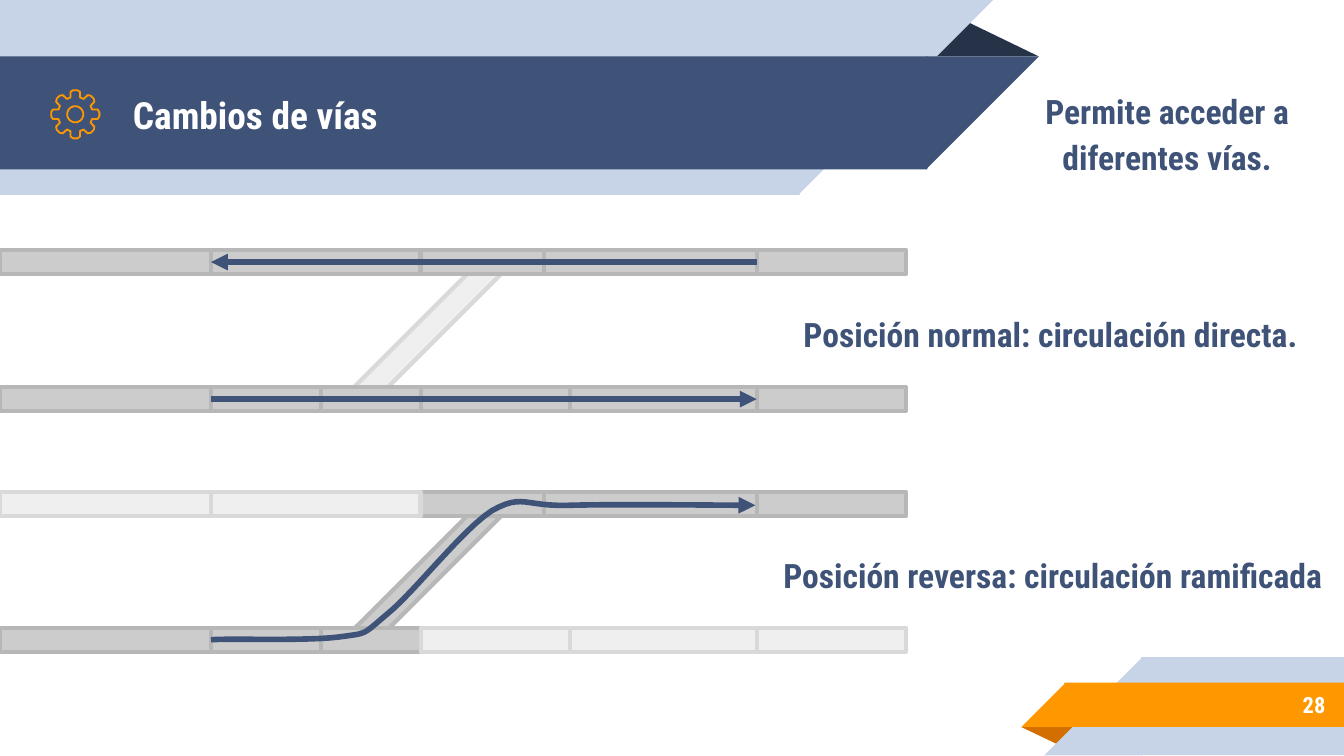
from itertools import pairwise
from math import cos, radians, sin

from lxml.etree import SubElement
from pptx import Presentation
from pptx.dml.color import RGBColor
from pptx.enum.shapes import MSO_CONNECTOR, MSO_SHAPE
from pptx.enum.text import MSO_ANCHOR, PP_ALIGN
from pptx.oxml.ns import qn
from pptx.util import Inches, Pt

FONT = "Roboto Condensed"
COLORS = {
    "navy": "3F5378", "dark": "263248", "pale": "C7D3E6",
    "orange": "FF9800", "rust": "D26F00", "white": "FFFFFF",
    "active": "CCCCCC", "active_edge": "B7B7B7",
    "idle": "EFEFEF", "idle_edge": "D9D9D9",
}
TRACK_H = 0.18
SEAM = 0.01  # overlap that hides the joint between the parts of a band
UPPER_JOINTS = [0, 1.57, 3.13, 4.05, 5.63, 6.74]
LOWER_JOINTS = [0, 1.57, 2.39, 3.13, 4.24, 5.63, 6.74]
ROUTE_START = (1.57, 4.76)
ROUTE_CURVES = [
    [(1.73, 4.75), (2.3, 4.77), (2.52, 4.74)],
    [(2.74, 4.71), (2.69, 4.73), (2.88, 4.57)],
    [(3.07, 4.42), (3.44, 3.94), (3.66, 3.8)],
    [(3.89, 3.67), (3.9, 3.77), (4.23, 3.76)],
    [(4.55, 3.75), (5.39, 3.76), (5.62, 3.76)],
]


def color(name):
    return RGBColor.from_string(COLORS[name])


def add_block(slide, kind, box, fill, edge=None, rotation=0):
    sp = slide.shapes.add_shape(kind, *map(Inches, box))
    sp.shadow.inherit = False
    sp.rotation = rotation
    sp.fill.solid()
    sp.fill.fore_color.rgb = color(fill)
    if edge:
        sp.line.color.rgb = color(edge)
        sp.line.width = Pt(2.25)
    else:
        sp.line.fill.background()
    return sp


def add_fold(slide, box, fill, rotation=0):
    sp = add_block(slide, MSO_SHAPE.ISOSCELES_TRIANGLE, box, fill, rotation=rotation)
    sp.adjustments[0] = 0.32


def add_left_band(slide, top, width, height, fill):
    """Band from the left edge whose right end slants at 45 degrees."""
    add_block(slide, MSO_SHAPE.RECTANGLE, (0, top, width + SEAM, height), fill)
    add_block(slide, MSO_SHAPE.RIGHT_TRIANGLE, (width, top, height, height), fill, rotation=90)


def add_right_band(slide, left, top, height, fill):
    """Band to the right edge whose left end slants at 45 degrees."""
    add_block(slide, MSO_SHAPE.RECTANGLE, (left - SEAM, top, 10 - left + SEAM, height), fill)
    add_block(slide, MSO_SHAPE.RIGHT_TRIANGLE, (left - height, top, height, height), fill, rotation=270)


def add_text(slide, box, text, size, fill="navy", align=PP_ALIGN.LEFT, spacing=1.0):
    tf = slide.shapes.add_textbox(*map(Inches, box)).text_frame
    tf.word_wrap = True
    tf.vertical_anchor = MSO_ANCHOR.MIDDLE
    tf.margin_left = tf.margin_right = tf.margin_top = tf.margin_bottom = Inches(0.1)
    p = tf.paragraphs[0]
    p.text = text
    p.alignment = align
    p.line_spacing = spacing
    p.font.name = FONT
    p.font.size = Pt(size)
    p.font.bold = True
    p.font.color.rgb = color(fill)


def add_outline(slide, contours, line, width, close):
    """Unfilled freeform made of one or more lists of points in inches."""
    first, *others = [[(Inches(x), Inches(y)) for x, y in contour] for contour in contours]
    builder = slide.shapes.build_freeform(*first[0])
    builder.add_line_segments(first[1:], close=close)
    for contour in others:
        builder.move_to(*contour[0])
        builder.add_line_segments(contour[1:], close=close)
    sp = builder.convert_to_shape()
    sp.shadow.inherit = False
    sp.fill.background()
    sp.line.color.rgb = color(line)
    sp.line.width = Pt(width)
    return sp


def add_arrowhead(sp):
    SubElement(sp.line._get_or_add_ln(), qn("a:tailEnd"), type="triangle")


def add_gear(slide, x, y):
    def polar(radius, angle):
        return x + radius * cos(radians(angle)), y + radius * sin(radians(angle))

    profile = [(0.13, -16), (0.17, -12), (0.18, -5), (0.18, 5), (0.17, 12), (0.13, 16)]
    teeth = [polar(r, tooth + a) for tooth in range(0, 360, 45) for r, a in profile]
    hub = [polar(0.06, a) for a in range(0, 360, 10)]
    add_outline(slide, [teeth, hub], "orange", 0.96, close=True)


def add_siding(slide, top, state):
    """Diagonal track that joins two parallel tracks."""
    add_block(slide, MSO_SHAPE.RECTANGLE, (2.46, top, 1.44, TRACK_H), state, f"{state}_edge", 135)


def add_track(slide, top, joints, active=(0, 10)):
    """Row of track sections; those starting inside the active range are dark."""
    sections = [("active" if active[0] <= a < active[1] else "idle", a, b)
                for a, b in pairwise(joints)]
    for state, a, b in sorted(sections):
        add_block(slide, MSO_SHAPE.RECTANGLE, (a, top, b - a, TRACK_H), state, f"{state}_edge")


def add_straight_route(slide, start, end, y):
    line = slide.shapes.add_connector(MSO_CONNECTOR.STRAIGHT, *map(Inches, (start, y, end, y)))
    line.line.color.rgb = color("navy")
    line.line.width = Pt(3)
    add_arrowhead(line)
    SubElement(line._element.spPr, qn("a:effectLst"))


def add_curved_route(slide, start, curves, steps=12):
    """Arrow along a chain of cubic curves."""
    points = [start]
    for c1, c2, end in curves:
        origin = points[-1]
        for i in range(1, steps + 1):
            t = i / steps
            u = 1 - t
            points.append(tuple(
                u**3 * a + 3 * u * u * t * b + 3 * u * t * t * c + t**3 * d
                for a, b, c, d in zip(origin, c1, c2, end)))
    add_arrowhead(add_outline(slide, [points], "navy", 3, close=False))


def main():
    prs = Presentation()
    prs.slide_width = Inches(10)
    prs.slide_height = prs.slide_width * 9 // 16
    slide = prs.slides.add_slide(prs.slide_layouts[6])

    add_fold(slide, (6.88, 0.14, 0.85, 0.28), "dark")
    add_left_band(slide, 0, 5.94, 1.45, "pale")
    add_left_band(slide, 0.42, 6.89, 0.84, "navy")
    add_fold(slide, (7.6, 5.41, 0.43, 0.14), "rust", 180)
    add_right_band(slide, 8.5, 4.89, 0.73, "pale")
    add_right_band(slide, 7.93, 5.08, 0.33, "orange")

    add_gear(slide, 0.56, 0.85)
    add_text(slide, (0.89, 0.43, 6.01, 0.84), "Cambios de vías", 20, "white")
    add_text(slide, (8.33, 5.07, 1.63, 0.35), "28", 12, "white", PP_ALIGN.RIGHT)

    add_siding(slide, 2.37, "idle")
    add_track(slide, 1.86, UPPER_JOINTS)
    add_track(slide, 2.88, LOWER_JOINTS)
    add_straight_route(slide, 5.63, 1.57, 1.95)
    add_straight_route(slide, 1.57, 5.63, 2.97)

    add_siding(slide, 4.17, "active")
    add_track(slide, 3.66, UPPER_JOINTS, active=(3.13, 10))
    add_track(slide, 4.67, LOWER_JOINTS, active=(0, 3.13))
    add_curved_route(slide, ROUTE_START, ROUTE_CURVES)

    add_text(slide, (7.37, 0.67, 2.63, 0.61), "Permite acceder a diferentes vías.",
             18, align=PP_ALIGN.CENTER, spacing=1.15)
    add_text(slide, (5.88, 2.16, 4.12, 0.61), "Posición normal: circulación directa.", 18, spacing=1.15)
    add_text(slide, (5.73, 3.95, 4.27, 0.61), "Posición reversa: circulación ramificada", 18, spacing=1.15)
    prs.save("out.pptx")


if __name__ == "__main__":
    main()
